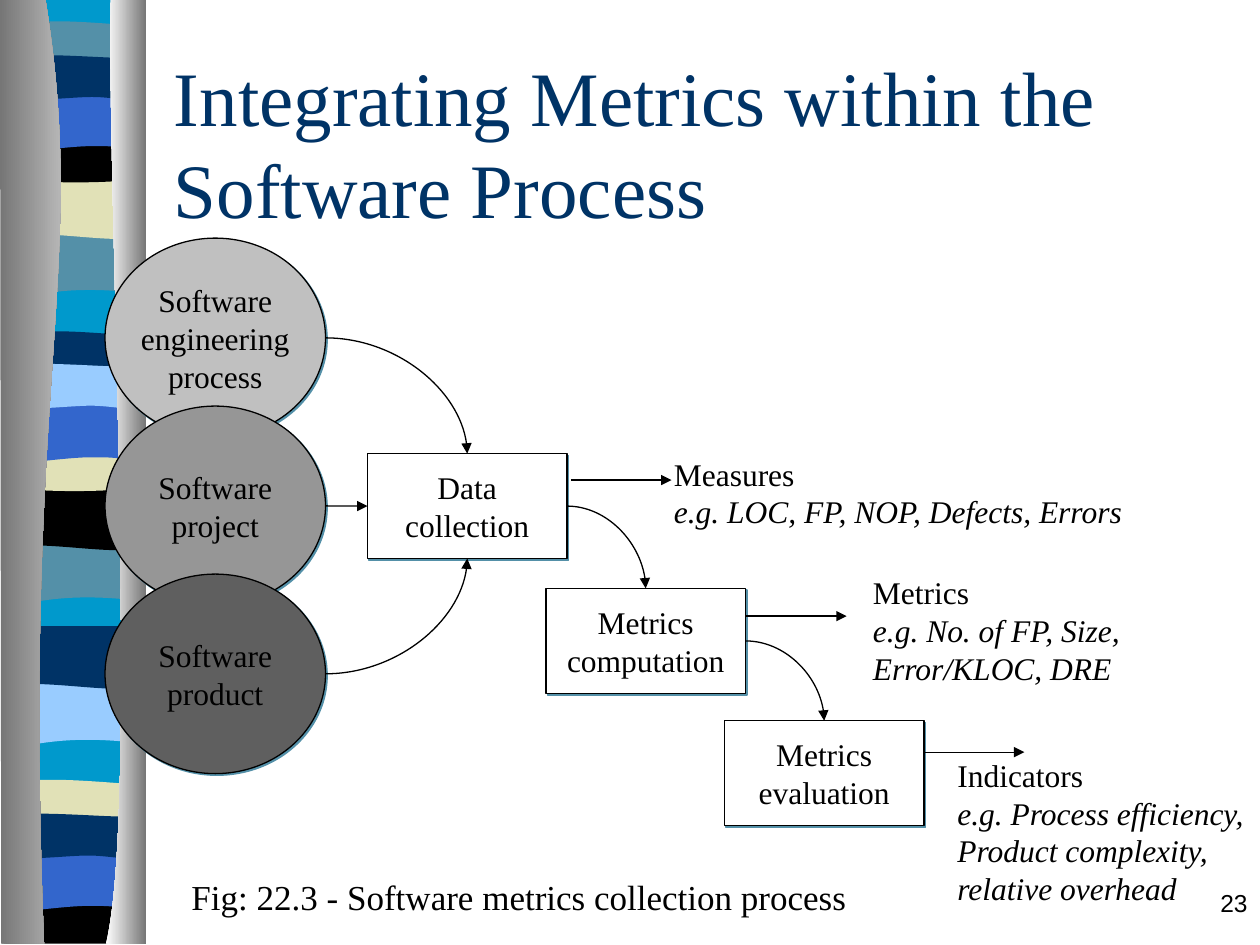
from lxml.etree import SubElement
from pptx import Presentation
from pptx.dml.color import RGBColor
from pptx.enum.shapes import MSO_CONNECTOR, MSO_SHAPE
from pptx.enum.text import MSO_ANCHOR, MSO_AUTO_SIZE, PP_ALIGN
from pptx.oxml.ns import qn
from pptx.util import Inches, Pt

COLORS = {
    "black": "000000", "white": "FFFFFF", "navy": "003366", "blue": "3366CC",
    "cyan": "0099CC", "teal": "5490A8", "sand": "E1E1B7", "sky": "99CCFF",
    "silver": "C0C0C0", "gray": "969696", "charcoal": "5F5F5F",
    "column dark": "767676", "column light": "D5D5D5",
}
SERIF = "Times New Roman"

TITLE = "Integrating Metrics within the Software Process"
CAPTION = "Fig: 22.3 - Software metrics collection process"
PAGE_NUMBER = "23"
SOURCES = [
    ("Software\vengineering\vprocess", "silver"),
    ("Software\vproject", "gray"),
    ("Software\vproduct", "charcoal"),
]
STEPS = [("Data\vcollection", 3.6), ("Metrics\vcomputation", 4.67), ("Metrics\vevaluation", 5.72)]
RESULTS = [
    ("Measures", "e.g. LOC, FP, NOP, Defects, Errors", (5.25, 3.56, 3.92, 0.7), 4.53),
    ("Metrics", "e.g. No. of FP, Size, Error/KLOC, DRE", (6.83, 4.5, 2.58, 1), 5.92),
    ("Indicators", "e.g. Process efficiency, Product complexity, relative overhead",
     (7.5, 5.95, 2.5, 1.3), 7.33),
]

BANDS = {
    "wave": [(1.07, 0), (1.07, 0.47), (0.33, 0.38, 0.17, 0.54, 0, 0.47), (0, 0)],
    "swell": [(1.07, 0), (1.07, 0.47), (0.89, 0.55, 0.33, 0.42, 0, 0.47), (0, 0)],
    "ribbon": [(1.07, 0.05), (1.07, 0.29), (0.89, 0.33, 0.18, 0.33, 0, 0.29), (0, 0.05),
               (0.07, 0, 0.24, 0.01, 0.41, 0.01), (0.59, 0.01, 0.93, 0.04, 1.07, 0.05)],
    "bowl": [(1.07, 0), (1.07, 0.33), (0.89, 0.38, 0.17, 0.38, 0, 0.33), (0, 0),
             (0.65, 0.05, 0.84, 0, 1.07, 0)],
    "arch": [(1.07, 0), (1.07, 0.47), (0.9, 0.42, 0.83, 0.42, 0.66, 0.42),
             (0.48, 0.42, 0.16, 0.47, 0, 0.47), (0, 0)],
    "drape": [(1.07, 0.05), (1.07, 0.36), (1, 0.41, 0.84, 0.36, 0.66, 0.36),
              (0.48, 0.36, 0.11, 0.41, 0, 0.36), (0, 0.05), (0.15, 0, 0.73, 0.05, 0.9, 0.05),
              (1.08, 0.05, 1.03, 0.05, 1.07, 0.05)],
    "foot": [(1.07, 0), (1.07, 0.37), (0, 0.37), (0, 0), (0.65, 0.05, 0.84, 0, 1.07, 0)],
    "backdrop": [(1.07, 0), (1.07, 7.48), (0, 7.48), (0, 0)],
}
STRIPES = [
    ("backdrop", 0.07, -0.01, "cyan"),
    ("wave", 0.07, 1.86, "teal"), ("swell", 0.07, 1.4, "sand"),
    ("ribbon", 0.07, 0.16, "teal"), ("bowl", 0.07, 1.08, "black"),
    ("arch", 0.07, 0.74, "blue"), ("drape", 0.07, 0.41, "navy"),
    ("wave", 0.05, 4.3, "teal"), ("swell", 0.06, 3.87, "black"),
    ("ribbon", 0.06, 2.62, "navy"), ("bowl", 0.06, 3.53, "sand"),
    ("arch", 0.06, 3.21, "blue"), ("drape", 0.06, 2.86, "sky"),
    ("wave", 0.05, 5.43, "sky"), ("swell", 0.06, 4.97, "navy"),
    ("ribbon", 0.05, 6.18, "sand"), ("foot", 0.05, 7.12, "black"),
    ("arch", 0.04, 6.77, "blue"), ("drape", 0.04, 6.43, "navy"),
]
COLUMNS = [
    ([(0.36, -0.01), (0.71, 2.16, 0.17, 2.96, 0.35, 7.49), (0.01, 7.49), (0, -0.01)],
     ("column dark", "column light")),
    ([(0.88, -0.01), (0.84, 1.25, 1.11, 6.46, 0.84, 7.49), (1.16, 7.49), (1.16, 0)],
     ("white", "column dark")),
]

TWELFTH = 1 / 12
CIRCLE_W, CIRCLE_H = 21 * TWELFTH, 19 * TWELFTH
CIRCLE_X, CIRCLE_Y, CIRCLE_GAP = 10 * TWELFTH, 1.89, 16 * TWELFTH
BOX_W, BOX_H = 19 * TWELFTH, 10 * TWELFTH
BOX_X, BOX_DX = 35 * TWELFTH, 17 * TWELFTH
ARROW_Y, ARROW_DY, ARROW_LENGTH = 3.81, 1.08, 0.8

deck = Presentation()
deck.slide_width, deck.slide_height = Inches(10), Inches(7.5)
slide = deck.slides.add_slide(deck.slide_layouts[5])


def rgb(name):
    return RGBColor.from_string(COLORS[name])


def add_outline(outline, left=0, top=0):
    points = [(Inches(left + x), Inches(top + y)) for segment in outline
              for x, y in zip(segment[::2], segment[1::2])]
    builder = slide.shapes.build_freeform(*points[0], scale=1.0)
    builder.add_line_segments(points[1:], close=True)
    band = builder.convert_to_shape()
    pieces = iter(list(band._element.iter(qn("a:lnTo"))))
    for segment in outline[1:]:
        piece = next(pieces)
        if len(segment) == 6:
            piece.tag = qn("a:cubicBezTo")
            for extra in (next(pieces), next(pieces)):
                piece.append(extra[0])
                extra.getparent().remove(extra)
    band.shadow.inherit = False
    band.line.fill.background()
    return band


def style(paragraph, size, color="black", font=SERIF, italic=False, align=PP_ALIGN.LEFT, before=0):
    paragraph.alignment = align
    paragraph.space_before = Pt(before)
    for run in paragraph.runs:
        run.font.size, run.font.name, run.font.italic = Pt(size), font, italic
        run.font.color.rgb = rgb(color)


def add_node(preset, label, place, fill):
    node = slide.shapes.add_shape(preset, *map(Inches, place))
    node.fill.solid()
    node.fill.fore_color.rgb = rgb(fill)
    node.line.color.rgb = rgb("black")
    node.line.width = Pt(0.75)
    node.shadow.inherit = False
    effects = node._element.spPr.find(qn("a:effectLst"))
    shadow = SubElement(effects, qn("a:outerShdw"), dist=str(Pt(1.4)), dir="2700000",
                        algn="ctr", rotWithShape="0")
    SubElement(shadow, qn("a:srgbClr"), val=COLORS["teal"])
    frame = node.text_frame
    frame.text = label
    frame.word_wrap = False
    frame.vertical_anchor = MSO_ANCHOR.MIDDLE
    style(frame.paragraphs[0], 18, align=PP_ALIGN.CENTER)
    return node


def add_arrow(start, end, curved=False):
    kind = MSO_CONNECTOR.CURVE if curved else MSO_CONNECTOR.STRAIGHT
    arrow = slide.shapes.add_connector(kind, *map(Inches, start + end))
    arrow.line.color.rgb = rgb("black")
    arrow.line.width = Pt(0.75)
    properties = arrow._element.spPr
    if curved:
        properties.find(qn("a:prstGeom")).set("prst", "curvedConnector2")
    SubElement(arrow.line._get_or_add_ln(), qn("a:tailEnd"), type="triangle")
    SubElement(properties, qn("a:effectLst"))
    return arrow


def add_text(text, place):
    frame = slide.shapes.add_textbox(*map(Inches, place)).text_frame
    frame.word_wrap = True
    frame.text = text
    return frame.paragraphs


for band, left, top, color in STRIPES:
    stripe = add_outline(BANDS[band], left, top)
    stripe.fill.solid()
    stripe.fill.fore_color.rgb = rgb(color)

for outline, shades in COLUMNS:
    column = add_outline(outline)
    column.fill.gradient()
    column.fill.gradient_angle = 0
    for stop, shade in zip(column.fill.gradient_stops, shades):
        stop.color.rgb = rgb(shade)

title = slide.shapes.title
title.left, title.top, title.width, title.height = map(Inches, (1.28, 0.5, 8.5, 1.25))
title.text_frame.text = TITLE
title.text_frame.auto_size = MSO_AUTO_SIZE.NONE
title.text_frame.vertical_anchor = MSO_ANCHOR.MIDDLE
style(title.text_frame.paragraphs[0], 44, "navy")

for row, (label, fill) in enumerate(SOURCES):
    place = (CIRCLE_X, CIRCLE_Y + row * CIRCLE_GAP, CIRCLE_W, CIRCLE_H)
    add_node(MSO_SHAPE.OVAL, label, place, fill)

corners = [(BOX_X + i * BOX_DX, top) for i, (_, top) in enumerate(STEPS)]
boxes = [add_node(MSO_SHAPE.RECTANGLE, label, (*corner, BOX_W, BOX_H), "white")
         for (label, _), corner in zip(STEPS, corners)]

process, project, product = [(CIRCLE_X + CIRCLE_W, CIRCLE_Y + row * CIRCLE_GAP + CIRCLE_H / 2)
                             for row in range(len(SOURCES))]
tops = [(x + BOX_W / 2, y) for x, y in corners]
rights = [(x + BOX_W, y + BOX_H / 2) for x, y in corners]
add_arrow(process, tops[0], curved=True)
add_arrow(product, (tops[0][0], tops[0][1] + BOX_H), curved=True)
add_arrow(project, (BOX_X, rights[0][1])).end_connect(boxes[0], 1)
for start, end in zip(rights, tops[1:]):
    add_arrow(start, end, curved=True)

for i, (heading, examples, place, x) in enumerate(RESULTS):
    y = ARROW_Y + i * ARROW_DY
    add_arrow((x, y), (x + ARROW_LENGTH, y))
    heading_line, examples_line = add_text(f"{heading}\n{examples}", place)
    style(heading_line, 18, before=11.2)
    style(examples_line, 18, italic=True)

style(add_text(CAPTION, (1.08, 6.9, 6.08, 0.44))[0], 20, align=PP_ALIGN.CENTER, before=12.5)
style(add_text(PAGE_NUMBER, (7.92, 7, 2.08, 0.5))[0], 14, font="Arial",
      align=PP_ALIGN.RIGHT, before=8.8)

deck.save("out.pptx")
